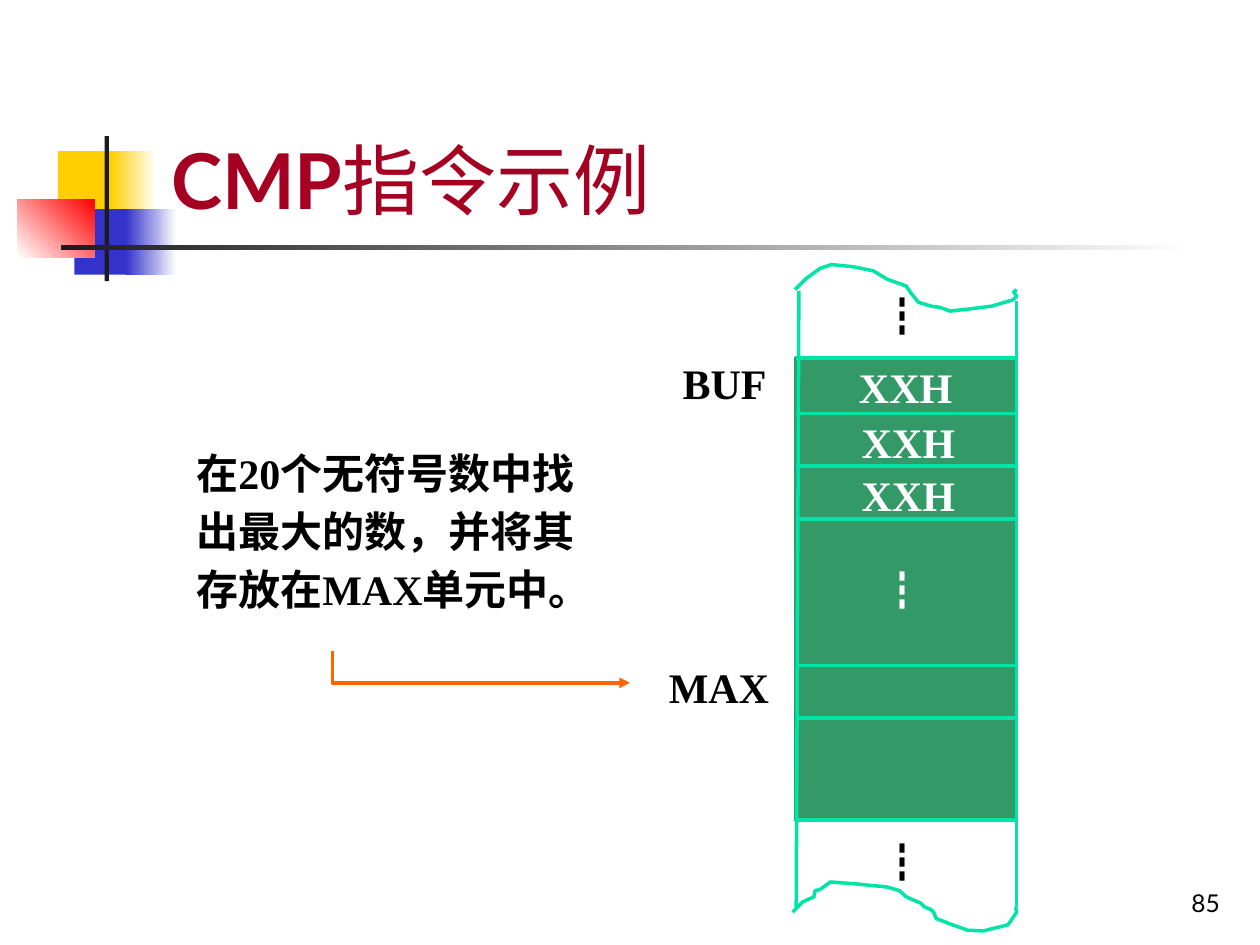
"""Build the CMP instruction example slide with its memory column."""
from typing import NamedTuple

from lxml import etree
from pptx import Presentation, dml, util as u
from pptx.dml import color
from pptx.enum import shapes, text
from pptx.oxml import ns

Pt = u.Pt
TIMES, LATO, CJK = "Times New Roman", "Lato", "Noto Sans CJK SC"
GREEN, TEAL, ORANGE = "339966", "00E4A8", "FF6600"
BLACK, WHITE, TITLE_RED = "000000", "FFFFFF", "A50021"
LEFT, RIGHT = 455, 581
ROWS = (204.5, 236.2, 266.4, 296.6, 380.2, 410.4, 468.7)


class Block(NamedTuple):
    x: float
    y: float
    w: float
    h: float
    fill: str
    fade: str = ""
    angle: float = 0


class Run(NamedTuple):
    text: str
    font: str = TIMES
    bold: bool = True


class Label(NamedTuple):
    x: float
    y: float
    w: float
    h: float
    runs: tuple[Run, ...]
    size: float = 24
    color: str = BLACK
    anchor: text.MSO_ANCHOR = text.MSO_ANCHOR.TOP
    align: text.PP_ALIGN = text.PP_ALIGN.LEFT
    spacing: float = 1.0


class Line(NamedTuple):
    x1: float
    y1: float
    x2: float
    y2: float


DECOR = (
    Block(33.1, 86.4, 34.6, 37.4, "FFCF01"),
    Block(63.4, 86.4, 25.9, 37.4, "FFCF01", WHITE),
    Block(42.5, 119.5, 33.1, 37.4, "3333CC"),
    Block(72, 119.5, 28.8, 37.4, "3333CC", WHITE),
    Block(10, 113.8, 44, 33.1, WHITE, "FF0000", 45),
    Block(59.8, 77.8, 2.5, 82.8, "1C1C1C"),
    Block(34.8, 140.2, 648, 2.5, "1C1C1C", WHITE),
)
EDGES = (Line(456.5, 166.3, LEFT, 518.4), Line(RIGHT, 172, RIGHT, 518.4))
TOP_WAVE = (
    (454.3, 165.6), (460.8, 159.1), (468.7, 153.4), (475.2, 151.2), (487, 152.4),
    (499, 154.8), (507, 159.6), (517.7, 163.4), (521, 168), (524.9, 172.8),
    (532.1, 175), (537.1, 175.7), (542.9, 177.8), (554, 176.6), (566.6, 175),
    (578.9, 171.4), (581, 169.2), (579.2, 166.9), (581, 165.6),
)
BOTTOM_WAVE = (
    (452.9, 521.3), (458.6, 515.5), (461.5, 514.1), (465.1, 512.6), (465.8, 509),
    (468.7, 508.3), (474.5, 504), (490, 505.2), (506.9, 506.9), (514.1, 509),
    (517.4, 512.2), (519.8, 513.4), (526.3, 516.2), (528.5, 518.4), (532.1, 519.8),
    (533.5, 521.3), (535, 524.9), (544.3, 528.5), (553, 531.6), (562, 532),
    (576, 528.5), (581, 521.3), (580.3, 518.4),
)
DOTS = (Run("┇", CJK, False),)
LABELS = (
    Label(554.4, 491.8, 149.8, 36, (Run("85", LATO, False),), 14,
          anchor=text.MSO_ANCHOR.BOTTOM, align=text.PP_ALIGN.RIGHT),
    Label(90.7, 16.6, 613.4, 115.2, (Run("CMP", LATO), Run("指令示例", LATO, False)),
          44, TITLE_RED, text.MSO_ANCHOR.BOTTOM),
    Label(496.8, 162.7, 48.2, 36, DOTS),
    Label(496.8, 474.5, 48.2, 36, DOTS),
    Label(496.8, 319, 48.2, 36, DOTS, color=WHITE),
    Label(375.1, 374.4, 84.2, 36, (Run("MAX"),)),
    Label(383, 200.9, 84.2, 36, (Run("BUF"),)),
    Label(483.8, 203, 84.2, 36, (Run("XXH"),), color=WHITE),
    Label(485.3, 234.7, 84.2, 36, (Run("XXH"),), color=WHITE),
    Label(485.3, 265, 84.2, 36, (Run("XXH"),), color=WHITE),
    Label(105.1, 247.7, 248.4, 107.3,
          (Run("在20个无符号数中"), Run("找出", LATO),
           Run("最大的数，并将其存放在MAX单元中。")), spacing=1.15),
)


def rgb(value: str) -> color.RGBColor:
    """Return the colour for a hex string."""
    return color.RGBColor.from_string(value)


def add_block(s, b: Block):
    """Draw a plain or fading rectangle without an outline."""
    sp = s.shapes.add_shape(shapes.MSO_SHAPE.RECTANGLE, Pt(b.x), Pt(b.y), Pt(b.w), Pt(b.h))
    sp.shadow.inherit = False
    sp.line.fill.background()
    if b.fade:
        sp.fill.gradient()
        sp.fill.gradient_angle = b.angle
        for stop, value in zip(sp.fill.gradient_stops, (b.fill, b.fade)):
            stop.color.rgb = rgb(value)
    else:
        sp.fill.solid()
        sp.fill.fore_color.rgb = rgb(b.fill)
    return sp


def style_line(sp, value: str) -> None:
    """Give an outline its colour and the common width."""
    sp.line.color.rgb = rgb(value)
    sp.line.width = Pt(2)


def add_line(s, ln: Line, value: str = TEAL, kind=shapes.MSO_CONNECTOR.STRAIGHT):
    """Draw a connector without a shadow."""
    sp = s.shapes.add_connector(kind, Pt(ln.x1), Pt(ln.y1), Pt(ln.x2), Pt(ln.y2))
    style_line(sp, value)
    etree.SubElement(sp._element.spPr, ns.qn("a:effectLst"))
    return sp


def add_arrow(s) -> None:
    """Draw the bent arrow that runs down and then right to MAX."""
    sp = add_line(s, Line(284, 296.2, 266, 466.2), ORANGE, shapes.MSO_CONNECTOR.ELBOW)
    pr = sp._element.spPr
    pr.find(ns.qn("a:xfrm")).set("rot", "16200000")
    pr.find(ns.qn("a:prstGeom")).set("prst", "bentConnector2")
    etree.SubElement(pr.find(ns.qn("a:ln")), ns.qn("a:tailEnd"), type="triangle")


def add_wave(s, points: tuple[tuple[float, float], ...]) -> None:
    """Draw one torn edge of the memory column."""
    start, *rest = [(Pt(x), Pt(y)) for x, y in points]
    fb = s.shapes.build_freeform(*start)
    fb.add_line_segments(rest, close=False)
    sp = fb.convert_to_shape()
    sp.shadow.inherit = False
    sp.fill.background()
    style_line(sp, TEAL)


def add_label(s, lb: Label) -> None:
    """Write a text box run by run."""
    sp = s.shapes.add_textbox(Pt(lb.x), Pt(lb.y), Pt(lb.w), Pt(lb.h))
    tf = sp.text_frame
    tf.word_wrap = True
    tf.vertical_anchor = lb.anchor
    p = tf.paragraphs[0]
    p.alignment = lb.align
    p.line_spacing = lb.spacing
    for run in lb.runs:
        r = p.add_run()
        r.text = run.text
        r.font.name = run.font
        r.font.size = Pt(lb.size)
        r.font.bold = run.bold
        r.font.color.rgb = rgb(lb.color)
        etree.SubElement(r._r.get_or_add_rPr(), ns.qn("a:ea"), typeface=CJK)


def main() -> None:
    """Assemble and save the slide."""
    prs = Presentation()
    prs.slide_width, prs.slide_height = Pt(720), Pt(540)
    s = prs.slides.add_slide(prs.slide_layouts[6])
    for b in DECOR:
        add_block(s, b)
    column = add_block(s, Block(LEFT, ROWS[0], RIGHT - LEFT, ROWS[-1] - ROWS[0], GREEN))
    style_line(column, GREEN)
    for ln in (*(Line(LEFT, y, RIGHT, y) for y in ROWS), *EDGES):
        add_line(s, ln)
    for points in (BOTTOM_WAVE, TOP_WAVE):
        add_wave(s, points)
    for lb in LABELS:
        add_label(s, lb)
    add_arrow(s)
    prs.save("out.pptx")


if __name__ == "__main__":
    main()
